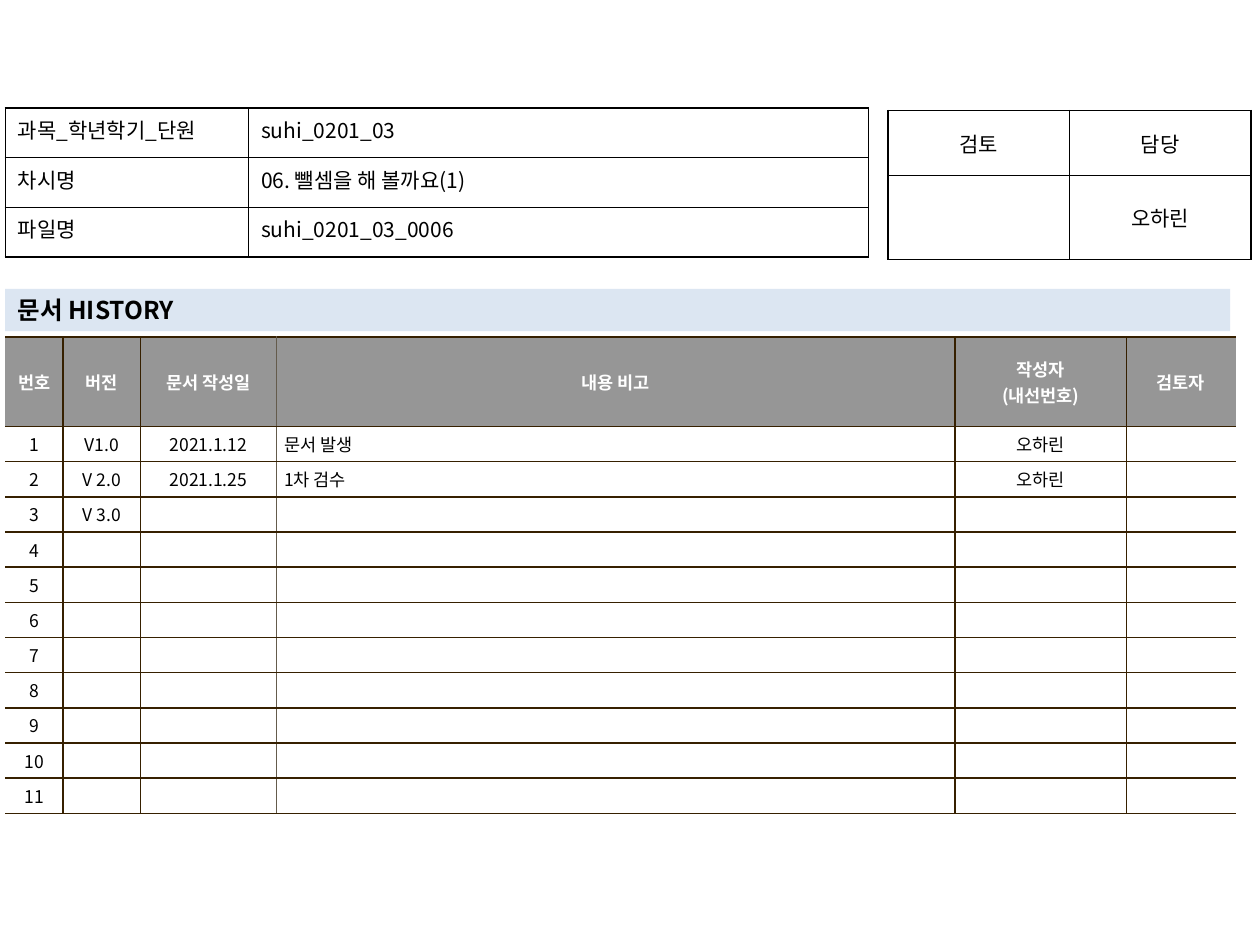
import pptx
import pptx.util
import pptx.dml.color
import pptx.enum.shapes
import pptx.enum.text
import pptx.oxml.ns
import lxml.etree

Pt = pptx.util.Pt
ALIGN = pptx.enum.text.PP_ALIGN
MID = pptx.enum.text.MSO_ANCHOR.MIDDLE
TOP = pptx.enum.text.MSO_ANCHOR.TOP
FONT = "Noto Sans CJK KR"
HEX = {
    "black": "000000", "white": "FFFFFF", "gray": "969696",
    "brown": "362000", "taupe": "645B4C", "band": "DCE6F2",
}


def color(name):
    return pptx.dml.color.RGBColor.from_string(HEX[name])


def add(parent, tag, **attrs):
    return lxml.etree.SubElement(parent, pptx.oxml.ns.qn(tag), **attrs)


def style(frame, size, ink="black", bold=False, align=ALIGN.LEFT):
    """Format every paragraph, including the height of empty ones."""
    for para in frame.paragraphs:
        para.alignment = align
        for run in para.runs:
            run.font.size = Pt(size)
            run.font.bold = bold
            run.font.name = FONT
            run.font.color.rgb = color(ink)
            add(run._r.get_or_add_rPr(), "a:ea", typeface=FONT)
        if not para.runs:
            add(para._p, "a:endParaRPr", sz=str(size * 100))


def edge(cell, sides):
    """Draw 1 pt borders; sides maps L, R, T, B to a colour or None."""
    props = cell._tc.get_or_add_tcPr()
    for side in "LRTB":
        line = add(props, "a:ln" + side, w=str(Pt(1)))
        if sides[side]:
            fill = add(line, "a:solidFill")
            add(fill, "a:srgbClr", val=HEX[sides[side]])
        else:
            add(line, "a:noFill")


def grid(slide, box, cols, rows, data):
    """Place a plain table and yield its cells with their position."""
    left, top = box
    frame = slide.shapes.add_table(
        len(rows), len(cols), Pt(left), Pt(top), Pt(sum(cols)), Pt(sum(rows)))
    table = frame.table
    table.first_row = table.horz_banding = False
    for col, width in zip(table.columns, cols):
        col.width = Pt(width)
    for row, height in zip(table.rows, rows):
        row.height = Pt(height)
    for r, texts in enumerate(data):
        for c, text in enumerate(texts):
            cell = table.cell(r, c)
            cell.text_frame.text = text
            yield r, c, cell


def form(slide, box, cols, rows, data, anchor, aligns):
    """Black-ruled table without fill."""
    for r, c, cell in grid(slide, box, cols, rows, data):
        cell.vertical_anchor = anchor
        style(cell.text_frame, 12, align=aligns[c])
        edge(cell, dict.fromkeys("LRTB", "black"))
        cell.fill.background()


def title(slide, box, text):
    left, top, width, height = box
    bar = slide.shapes.add_shape(
        pptx.enum.shapes.MSO_SHAPE.RECTANGLE,
        Pt(left), Pt(top), Pt(width), Pt(height))
    bar.shadow.inherit = False
    bar.fill.solid()
    bar.fill.fore_color.rgb = color("band")
    bar.line.fill.background()
    bar.text_frame.word_wrap = True
    bar.text_frame.vertical_anchor = MID
    bar.text_frame.text = text
    style(bar.text_frame, 14, bold=True)


def history(slide, box):
    """Version log, open at its left and right sides."""
    cols = [33, 44.3, 77.6, 388, 97.8, 62.4]
    head = ["번호", "버전", "문서 작성일", "내용 비고",
            "작성자\n(내선번호)", "검토자"]
    known = [
        ["V1.0", "2021.1.12", "문서 발생", "오하린", ""],
        ["V 2.0", "2021.1.25", "1차 검수", "오하린", ""],
        ["V 3.0", "", "", "", ""],
    ]
    count, note = 11, 3
    known += [[""] * 5] * (count - len(known))
    data = [head] + [[str(i)] + row for i, row in enumerate(known, 1)]
    rows = [51] + [20.1] * count
    rules = [None, "brown", "brown", "taupe", "brown", "brown", None]

    for r, c, cell in grid(slide, box, cols, rows, data):
        cell.vertical_anchor = MID
        cell.margin_left = cell.margin_right = Pt(4.5)
        cell.margin_top = cell.margin_bottom = Pt(2.8)
        top = r == 0
        align = ALIGN.LEFT if c == note and not top else ALIGN.CENTER
        style(cell.text_frame, 10, "white" if top else "black", top, align)
        edge(cell, {"L": rules[c], "R": rules[c + 1],
                    "T": "brown", "B": "brown"})
        cell.fill.solid()
        cell.fill.fore_color.rgb = color("gray" if top else "white")


def main():
    deck = pptx.Presentation()
    deck.slide_width, deck.slide_height = Pt(720), Pt(540)
    slide = deck.slides.add_slide(deck.slide_layouts[6])
    # Version log
    history(slide, (3, 192.7))
    # Approval box
    form(slide, (507.5, 63.2), [103.7, 103.7], [37, 48],
         [["검토", "담당"], ["", "오하린"]], MID, [ALIGN.CENTER] * 2)
    # Section title
    title(slide, (3, 165, 700, 24.3), "문서 HISTORY")
    # Lesson details
    form(slide, (3, 61.7), [139, 354.2], [28.4] * 3,
         [["과목_학년학기_단원", "suhi_0201_03"],
          ["차시명", "06. 뺄셈을 해 볼까요(1)"],
          ["파일명", "suhi_0201_03_0006"]],
         TOP, [ALIGN.JUSTIFY, ALIGN.LEFT])
    deck.save("out.pptx")


if __name__ == "__main__":
    main()
